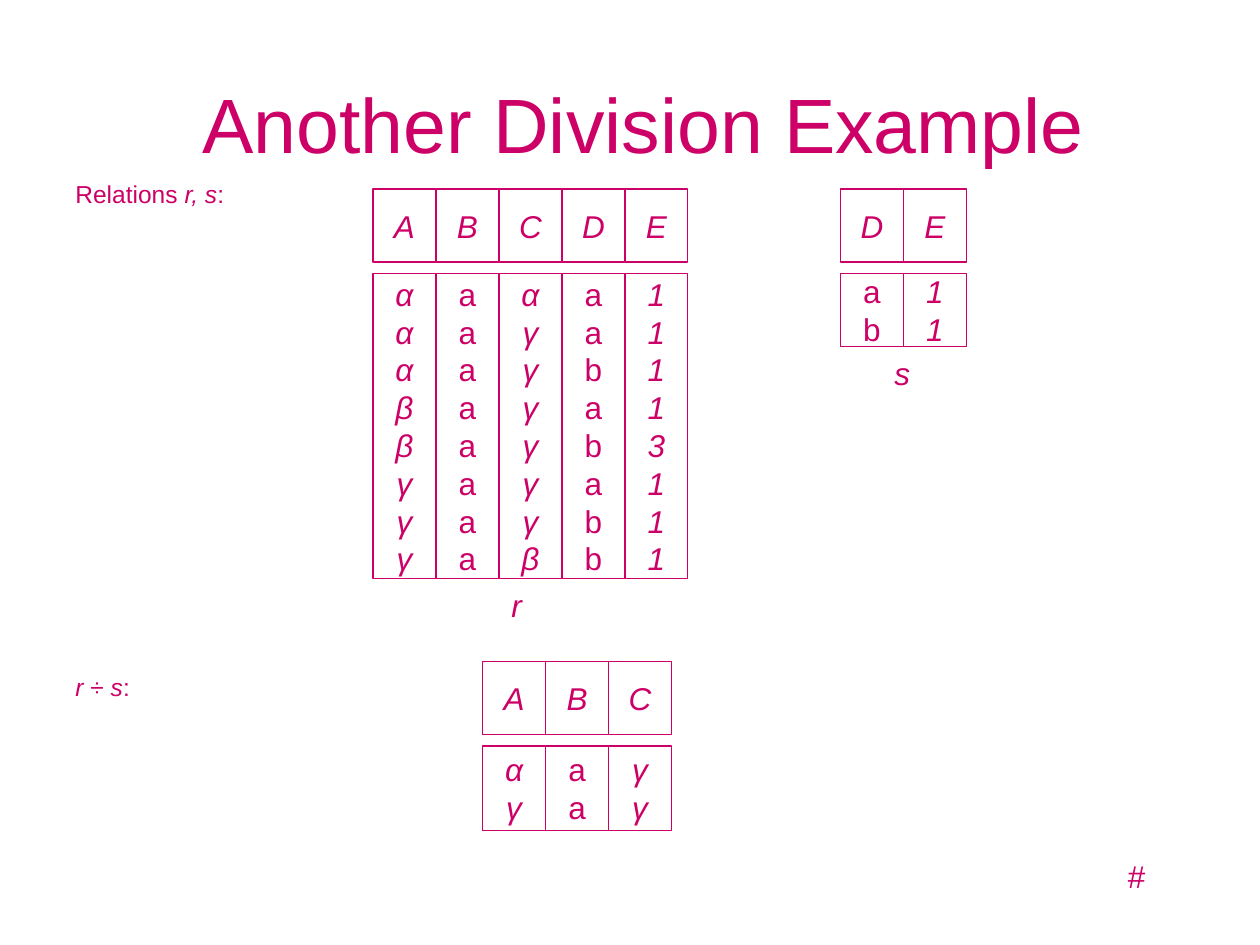
"""Build the slide with a worked example of relational division."""
from dataclasses import dataclass

from pptx import Presentation
from pptx.dml.color import RGBColor as Color
from pptx.enum.shapes import MSO_SHAPE as Shape
from pptx.enum.text import MSO_ANCHOR as Anchor, PP_ALIGN as Align
from pptx.util import Inches, Pt


@dataclass
class Theme:
    ink: Color = Color.from_string("CC0066")
    paper: Color = Color.from_string("FFFFFF")
    font: str = "Arial"
    title: int = 44
    body: int = 18
    label: int = 14
    line: float = 0.75


theme = Theme()


def write(frame, text, size=theme.body, align=Align.CENTER,
          anchor=Anchor.MIDDLE, wrap=False, space=None):
    """Fill a frame; asterisks switch italics, line breaks part paragraphs."""
    frame.word_wrap = wrap
    frame.vertical_anchor = anchor
    for row, line in enumerate(text.split("\n")):
        para = frame.add_paragraph() if row else frame.paragraphs[0]
        para.alignment = align
        para.line_spacing = space
        for turn, part in enumerate(line.split("*")):
            if part:
                run = para.add_run()
                run.text = part
                run.font.name = theme.font
                run.font.size = Pt(size)
                run.font.italic = turn % 2 == 1
                run.font.color.rgb = theme.ink


deck = Presentation()
deck.slide_width, deck.slide_height = Inches(10), Inches(7.5)
slide = deck.slides.add_slide(deck.slide_layouts[5])
shapes = slide.shapes

title = shapes.title
title.left, title.top = Inches(0.86), Inches(0.35)
title.width, title.height = Inches(8.5), Inches(1.25)
write(title.text_frame, "Another Division Example", theme.title, wrap=True)

width, head, gap = 0.5, 0.58, 0.67
tables = [
    (2.96, 1.5, 2.42, {"A": "αααββγγγ", "B": "aaaaaaaa", "C": "αγγγγγγβ",
                       "D": "aabababb".replace(" ", ""), "E": "11113111"}),
    (6.67, 1.5, 0.58, {"D": "ab", "E": "11"}),
    (3.83, 5.25, 0.67, {"A": "αγ", "B": "aa", "C": "γγ"}),
]
for left, top, depth, cols in tables:
    for col, (name, vals) in enumerate(cols.items()):
        mark = "" if vals[0] in "ab" else "*"
        body = "\n".join(f"{mark}{val}{mark}" for val in vals)
        for y, high, text in ((top, head, f"*{name}*"),
                              (top + gap, depth, body)):
            cell = shapes.add_shape(
                Shape.RECTANGLE, Inches(left + col * width), Inches(y),
                Inches(width), Inches(high))
            cell.shadow.inherit = False
            cell.fill.solid()
            cell.fill.fore_color.rgb = theme.paper
            cell.line.color.rgb = theme.ink
            cell.line.width = Pt(theme.line)
            write(cell.text_frame, text)

side = dict(size=theme.label, align=Align.LEFT, anchor=Anchor.TOP,
            wrap=True, space=0.8)
notes = [
    (0.5, 1.42, 2.33, 0.36, "Relations *r, s*:", side),
    (0.5, 5.33, 1.42, 0.36, "*r *÷ *s*:", side),
    (3.96, 4.6, 0.28, 0.4, "*r*", {}),
    (7, 2.76, 0.32, 0.4, "*s*", {}),
    (8.85, 6.75, 0.34, 0.4, "*#*", dict(align=Align.LEFT, anchor=Anchor.TOP)),
]
for left, top, wide, high, text, form in notes:
    box = shapes.add_textbox(
        Inches(left), Inches(top), Inches(wide), Inches(high))
    write(box.text_frame, text, **form)

deck.save("out.pptx")
